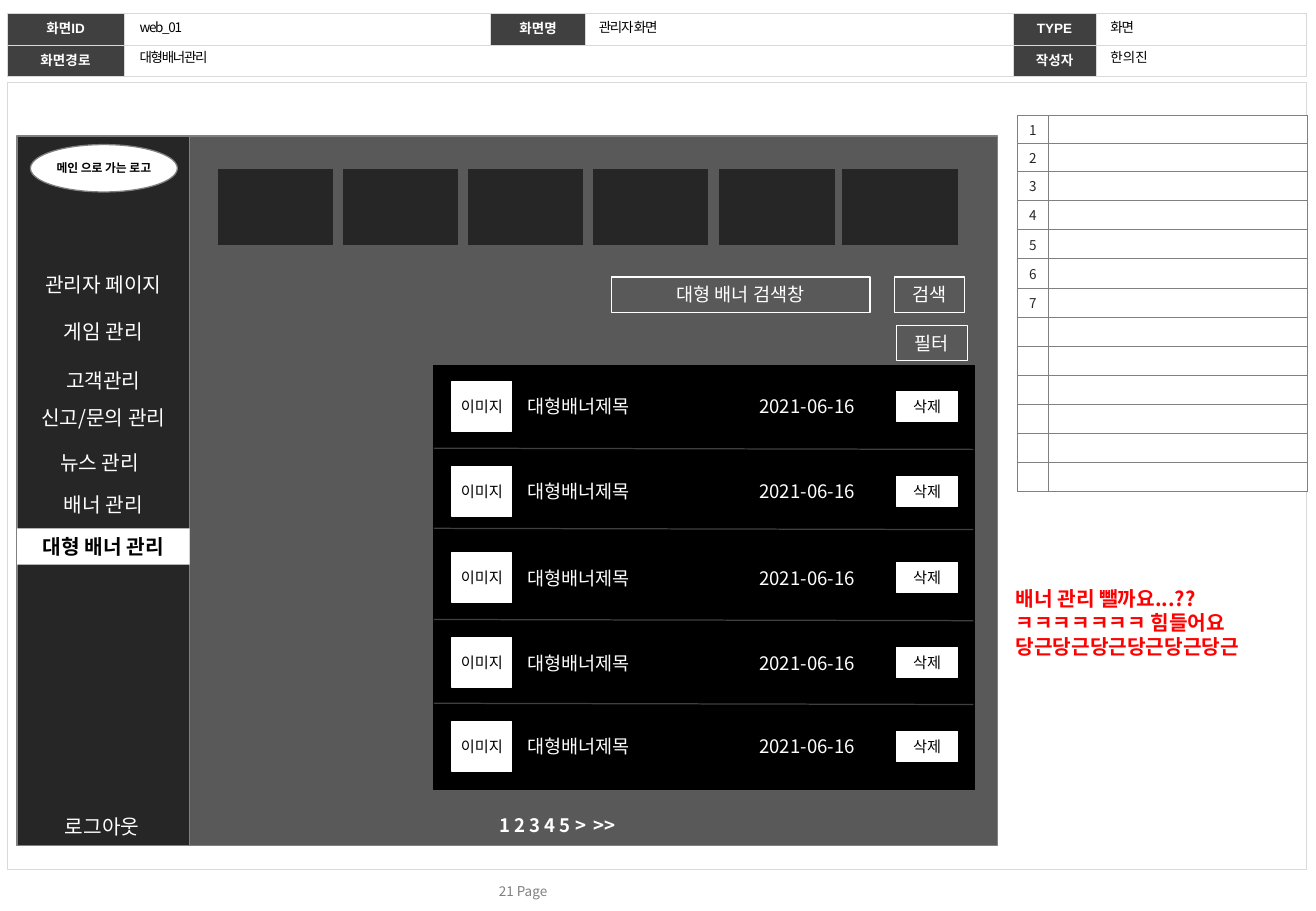
from lxml import etree
from pptx import Presentation
from pptx import util as u
from pptx.dml.color import RGBColor
from pptx.enum import shapes, text
from pptx.oxml.ns import qn

KOREAN = "Noto Sans CJK KR"
WHITE, BLACK, DARK, GRAY = "FFFFFF", "000000", "262626", "808080"
RECT = shapes.MSO_SHAPE.RECTANGLE
CENTER, LEFT = text.PP_ALIGN.CENTER, text.PP_ALIGN.LEFT


def rgb(value):
    return RGBColor.from_string(value)


class Screen:
    """Holds the current slide and draws each kind of element on it."""

    def __init__(self, slide):
        self.slide = slide

    def paint(self, target, fill):
        if fill:
            target.fill.solid()
            target.fill.fore_color.rgb = rgb(fill)
        else:
            target.fill.background()

    def add_words(self, frame, words, size, color, bold=False, align=CENTER,
                  font=KOREAN, spacing=None, tab=None, pitch=None):
        """Fill a text frame; newlines in words become line breaks."""
        frame.word_wrap = True
        paragraph = frame.paragraphs[0]
        paragraph.alignment = align
        if pitch:
            paragraph.line_spacing = u.Pt(pitch)
        if tab:
            stops = etree.SubElement(paragraph._p.get_or_add_pPr(), qn("a:tabLst"))
            etree.SubElement(stops, qn("a:tab"), pos=str(u.Inches(tab)), algn="l")
        for index, line in enumerate(words.split("\n")):
            if index:
                paragraph.add_line_break()
            run = paragraph.add_run()
            run.text = line
            run.font.size = u.Pt(size)
            run.font.bold = bold
            run.font.name = font
            run.font.color.rgb = rgb(color)
            properties = run._r.get_or_add_rPr()
            etree.SubElement(properties, qn("a:ea"), typeface=font)
            if spacing:
                properties.set("spc", str(round(spacing * 100)))
        return paragraph

    def shape(self, left, top, width, height, fill=None, line=None, kind=RECT,
              words=None, size=9, color=BLACK, bold=False, inset=0.1):
        shape = self.slide.shapes.add_shape(
            kind, *map(u.Inches, (left, top, width, height)))
        shape.shadow.inherit = False
        self.paint(shape, fill)
        if line:
            shape.line.color.rgb = rgb(line)
            shape.line.width = u.Pt(0.75)
        else:
            shape.line.fill.background()
        if words:
            frame = shape.text_frame
            frame.margin_left = frame.margin_right = u.Inches(inset)
            frame.vertical_anchor = text.MSO_ANCHOR.MIDDLE
            self.add_words(frame, words, size, color, bold)

    def label(self, left, top, width, height, words, size, color=WHITE, **style):
        box = self.slide.shapes.add_textbox(
            *map(u.Inches, (left, top, width, height)))
        box.text_frame.vertical_anchor = text.MSO_ANCHOR.MIDDLE
        self.add_words(box.text_frame, words, size, color, **style)

    def separator(self, start_x, start_y, end_x, end_y, color):
        line = self.slide.shapes.add_connector(
            shapes.MSO_CONNECTOR.STRAIGHT,
            *map(u.Inches, (start_x, start_y, end_x, end_y)))
        line.line.color.rgb = rgb(color)
        line.line.width = u.Pt(0.75)
        etree.SubElement(line._element.spPr, qn("a:effectLst"))

    def cell_border(self, cell, color, width):
        properties = cell._tc.get_or_add_tcPr()
        for index, side in enumerate(("lnL", "lnR", "lnT", "lnB")):
            edge = etree.Element(qn("a:" + side), w=str(u.Pt(width)))
            solid = etree.SubElement(edge, qn("a:solidFill"))
            etree.SubElement(solid, qn("a:srgbClr"), val=color)
            properties.insert(index, edge)

    def table(self, left, top, columns, rows, border, border_width):
        """Add an empty white table with small text and even borders."""
        table = self.slide.shapes.add_table(
            len(rows), len(columns), u.Inches(left), u.Inches(top),
            u.Inches(sum(columns)), u.Inches(sum(rows))).table
        table.first_row = table.horz_banding = False
        for column, width in zip(table.columns, columns):
            column.width = u.Inches(width)
        for row, height in zip(table.rows, rows):
            row.height = u.Inches(height)
        for cell in table.iter_cells():
            self.paint(cell, WHITE)
            self.cell_border(cell, border, border_width)
            cell.vertical_anchor = text.MSO_ANCHOR.MIDDLE
            cell.margin_left = cell.margin_right = 0
            cell.margin_top = cell.margin_bottom = u.Inches(0.02)
            end = cell.text_frame.paragraphs[0]._p.get_or_add_endParaRPr()
            end.set("sz", "800")
        return table


def draw_header(screen):
    screen.shape(0.06, 0.68, 10.69, 6.48, line="D9D9D9")
    header = screen.table(0.06, 0.11, (0.96, 3.02, 0.78, 3.52, 0.68, 1.73),
                          (0.26, 0.26), "D9D9D9", 0.5)
    header.cell(1, 1).merge(header.cell(1, 3))
    for row, column, title, before in (
            (0, 0, "화면ID", 2), (0, 2, "화면명", 2), (0, 4, "TYPE", 2),
            (1, 0, "화면경로", 2), (1, 4, "작성자", 4)):
        cell = header.cell(row, column)
        screen.paint(cell, "404040")
        paragraph = screen.add_words(cell.text_frame, title, 8, WHITE, True,
                                     font="Arial")
        paragraph.space_before = u.Pt(before)
    for left, top, width, value, spacing in (
            (1.05, 0.1, 2.99, "web_01", -0.8),
            (1.05, 0.35, 2.99, "대형배너관리", -0.8),
            (4.83, 0.1, 2.99, "관리자 화면", -0.8),
            (9.04, 0.1, 1.72, "화면", -0.8),
            (9.04, 0.35, 1.72, "한의진", None)):
        screen.label(left, top, width, 0.24, value, 8, BLACK,
                     align=LEFT, spacing=spacing)
    screen.label(0.06, 7.22, 8.49, 0.24, "21 Page", 8, GRAY)


def draw_notes(screen):
    notes = screen.table(8.37, 0.95, (0.26, 2.13), [0.23] * 2 + [0.24] * 11,
                         GRAY, 0.25)
    for number in range(1, 8):
        paragraph = screen.add_words(notes.cell(number - 1, 0).text_frame,
                                     str(number), 8, DARK)
        paragraph.space_after = u.Pt(2)
    screen.label(8.26, 4.77, 2.42, 0.71,
                 "배너 관리 뺄까요...??\nㅋㅋㅋㅋㅋㅋㅋ 힘들어요\n당근당근당근당근당근당근",
                 12, "FF0000", bold=True, align=LEFT, pitch=14.2)


def draw_sidebar(screen):
    screen.shape(0.14, 1.12, 1.42, 5.84, DARK, GRAY)
    screen.shape(0.25, 1.19, 1.21, 0.39, WHITE, GRAY, shapes.MSO_SHAPE.OVAL,
                 "메인 으로 가는 로고", 7, bold=True, inset=0)
    for left, top, menu in (
            (0.14, 2.19, "관리자 페이지"), (0.14, 2.58, "게임 관리"),
            (0.14, 2.98, "고객관리"), (0.14, 3.29, "신고/문의 관리"),
            (0.11, 3.66, "뉴스 관리"), (0.14, 4, "배너 관리"),
            (0.13, 6.65, "로그아웃")):
        screen.label(left, top, 1.42, 0.3, menu, 12)
    screen.shape(0.14, 4.35, 1.42, 0.3, WHITE, words="대형 배너 관리",
                 size=12, bold=True)


def draw_banner_list(screen):
    screen.shape(1.56, 1.12, 6.65, 5.84, "595959", GRAY)
    for left, top, width, control in (
            (5.03, 2.28, 2.13, "대형 배너 검색창"),
            (7.36, 2.28, 0.58, "검색"), (7.38, 2.68, 0.58, "필터")):
        screen.shape(left, top, width, 0.29, line=WHITE, words=control,
                     size=11, color=WHITE)
    screen.label(4.01, 6.65, 2.36, 0.29, "1 2 3 4 5 >\t>>", 11,
                 bold=True, align=LEFT, tab=0.78)
    for top, height, image_top in (
            (3.01, 0.69, 3.14), (3.71, 0.69, 3.84), (4.37, 0.75, 4.55),
            (5.13, 0.69, 5.25), (5.81, 0.69, 5.94)):
        screen.shape(3.57, top, 4.45, height, BLACK, BLACK)
        screen.shape(3.72, image_top, 0.49, 0.41, WHITE, WHITE,
                     words="이미지", inset=0)
        screen.label(4.24, image_top + 0.06, 3.61, 0.29,
                     "대형배너제목\t2021-06-16", 11, align=LEFT, tab=1.91)
        screen.shape(7.38, image_top + 0.08, 0.5, 0.25, WHITE, WHITE, words="삭제")
    for left in (1.79, 2.82, 3.85, 4.88, 5.92, 6.93):
        screen.shape(left, 1.39, 0.95, 0.63, DARK,
                     kind=shapes.MSO_SHAPE.ACTION_BUTTON_CUSTOM)
    for top in (3.69, 4.35, 5.1, 5.79):
        screen.separator(3.57, top, 8.01, top + 0.01, "404040")


def main():
    deck = Presentation()
    deck.slide_width, deck.slide_height = u.Inches(10.83), u.Inches(7.5)
    screen = Screen(deck.slides.add_slide(deck.slide_layouts[6]))
    draw_header(screen)
    draw_notes(screen)
    draw_banner_list(screen)
    draw_sidebar(screen)
    deck.save("out.pptx")


if __name__ == "__main__":
    main()
